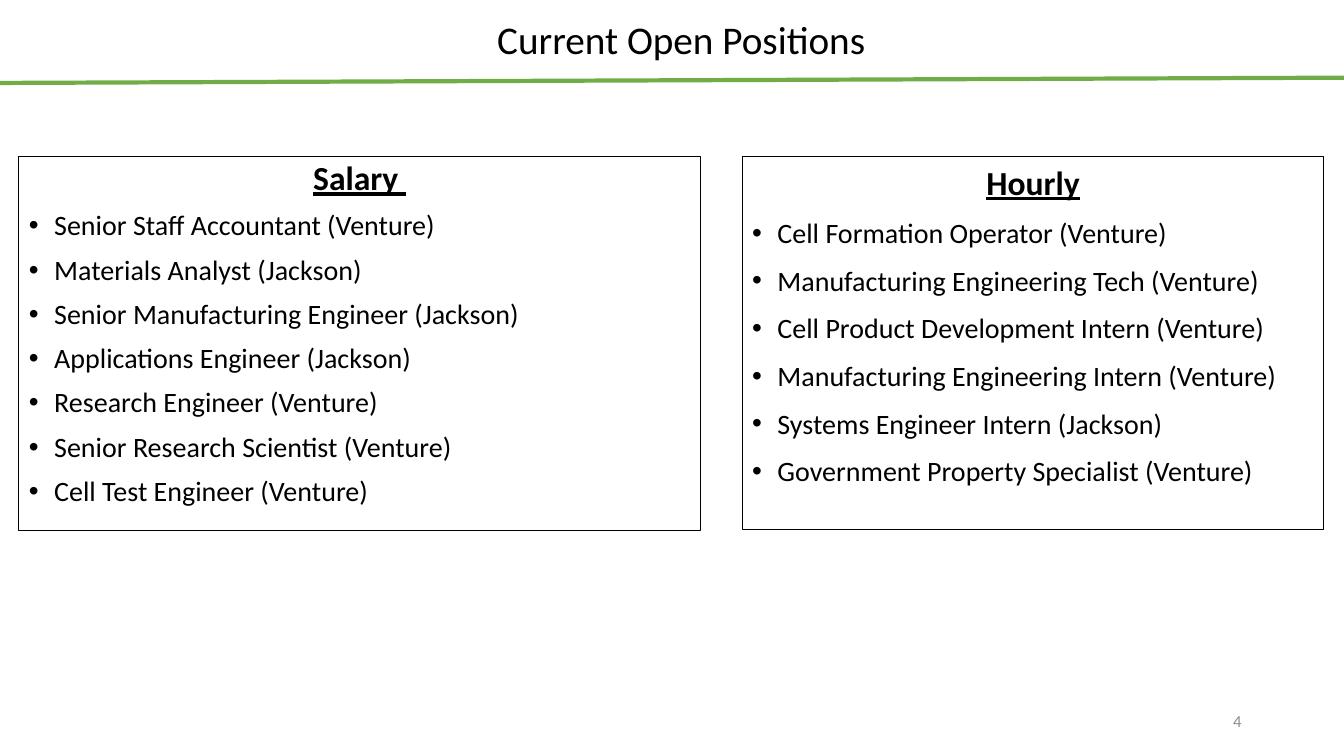
from lxml import etree
from pptx import Presentation
from pptx import util as u
from pptx.dml.color import RGBColor
from pptx.enum import shapes, text
from pptx.oxml.ns import qn

PX = 9525  # EMU per px, 96 px to the inch
COLORS = {"ink": "000000", "rule": "70AD47", "page": "8C8C8C"}
TITLE = {"size": u.Pt(28), "bold": False}
HEAD = {"size": u.Pt(24), "bold": True, "underline": True}
ITEM = {"size": u.Pt(20), "bold": False, "underline": False}
PAGE = {"size": u.Pt(12), "bold": False}

SALARY = [
    "Senior Staff Accountant (Venture)",
    "Materials Analyst (Jackson)",
    "Senior Manufacturing Engineer (Jackson)",
    "Applications Engineer (Jackson)",
    "Research Engineer (Venture)",
    "Senior Research Scientist (Venture)",
    "Cell Test Engineer (Venture)",
]
HOURLY = [
    "Cell Formation Operator (Venture)",
    "Manufacturing Engineering Tech (Venture)",
    "Cell Product Development Intern (Venture)",
    "Manufacturing Engineering Intern (Venture)",
    "Systems Engineer Intern (Jackson)",
    "Government Property Specialist (Venture)",
]


class Deck:
    def __init__(self, wide, high):
        self.prs = Presentation()
        self.prs.slide_width, self.prs.slide_height = wide * PX, high * PX
        self.slide = self.prs.slides.add_slide(self.prs.slide_layouts[1])
        self.font = "Calibri"

    def color(self, name):
        return RGBColor.from_string(COLORS[name])

    def place(self, shape, box):
        for key, val in zip(("left", "top", "width", "height"), box):
            setattr(shape, key, val * PX)

    def blank(self, box):
        return self.slide.shapes.add_textbox(*(val * PX for val in box))

    def fill_par(self, par, words, style, align, ink="ink", space=0, lead=1.0):
        par.text = words
        par.alignment = align
        par.space_before = u.Pt(space)
        par.line_spacing = lead
        for key, val in style.items():
            setattr(par.font, key, val)
        par.font.name = self.font
        par.font.color.rgb = self.color(ink)

    def bullet(self, par, mark=None):
        props = par._p.get_or_add_pPr()
        dent = 24 * PX if mark else 0
        props.set("marL", str(dent))
        props.set("indent", str(-dent))
        if mark:
            face = etree.SubElement(props, qn("a:buFont"))
            face.set("typeface", "Arial")
            etree.SubElement(props, qn("a:buChar")).set("char", mark)
        else:
            etree.SubElement(props, qn("a:buNone"))

    def frame(self, shape, anchor):
        body = shape.text_frame
        body.word_wrap = True
        body.auto_size = text.MSO_AUTO_SIZE.NONE
        body.vertical_anchor = anchor
        return body

    def label(self, shape, box, words, style, align, ink="ink", lead=1.0):
        self.place(shape, box)
        body = self.frame(shape, text.MSO_ANCHOR.MIDDLE)
        self.fill_par(body.paragraphs[0], words, style, align, ink, lead=lead)

    def panel(self, shape, box, head, items, lead):
        self.place(shape, box)
        shape.line.color.rgb = self.color("ink")
        shape.line.width = u.Pt(0.75)
        body = self.frame(shape, text.MSO_ANCHOR.TOP)
        first = body.paragraphs[0]
        self.bullet(first)
        self.fill_par(first, head, HEAD, text.PP_ALIGN.CENTER, lead=lead)
        for item in items:
            par = body.add_paragraph()
            self.bullet(par, "•")
            self.fill_par(par, item, ITEM, text.PP_ALIGN.LEFT, space=10, lead=lead)

    def rule(self, start, end, ink, width):
        ends = (val * PX for val in start + end)
        line = self.slide.shapes.add_connector(shapes.MSO_CONNECTOR.STRAIGHT, *ends)
        line.line.color.rgb = self.color(ink)
        line.line.width = u.Pt(width)
        etree.SubElement(line._element.spPr, qn("a:effectLst"))


def main():
    deck = Deck(1280, 720)
    title, body = deck.slide.placeholders

    # Title and rule
    deck.rule((0, 79), (1280, 74), "rule", 3)
    deck.label(title, (77, -8, 1152, 96), "Current Open Positions ", TITLE,
               text.PP_ALIGN.CENTER, lead=0.9)

    # Job lists
    deck.panel(body, (18, 149, 649, 356), "Salary ", SALARY, 0.9)
    box = (707, 149, 554, 355)
    deck.panel(deck.blank(box), box, "Hourly", HOURLY, 1.0)

    # Page number
    box = (904, 667, 288, 38)
    deck.label(deck.blank(box), box, "4", PAGE, text.PP_ALIGN.RIGHT, "page")

    deck.prs.save("out.pptx")


if __name__ == "__main__":
    main()
